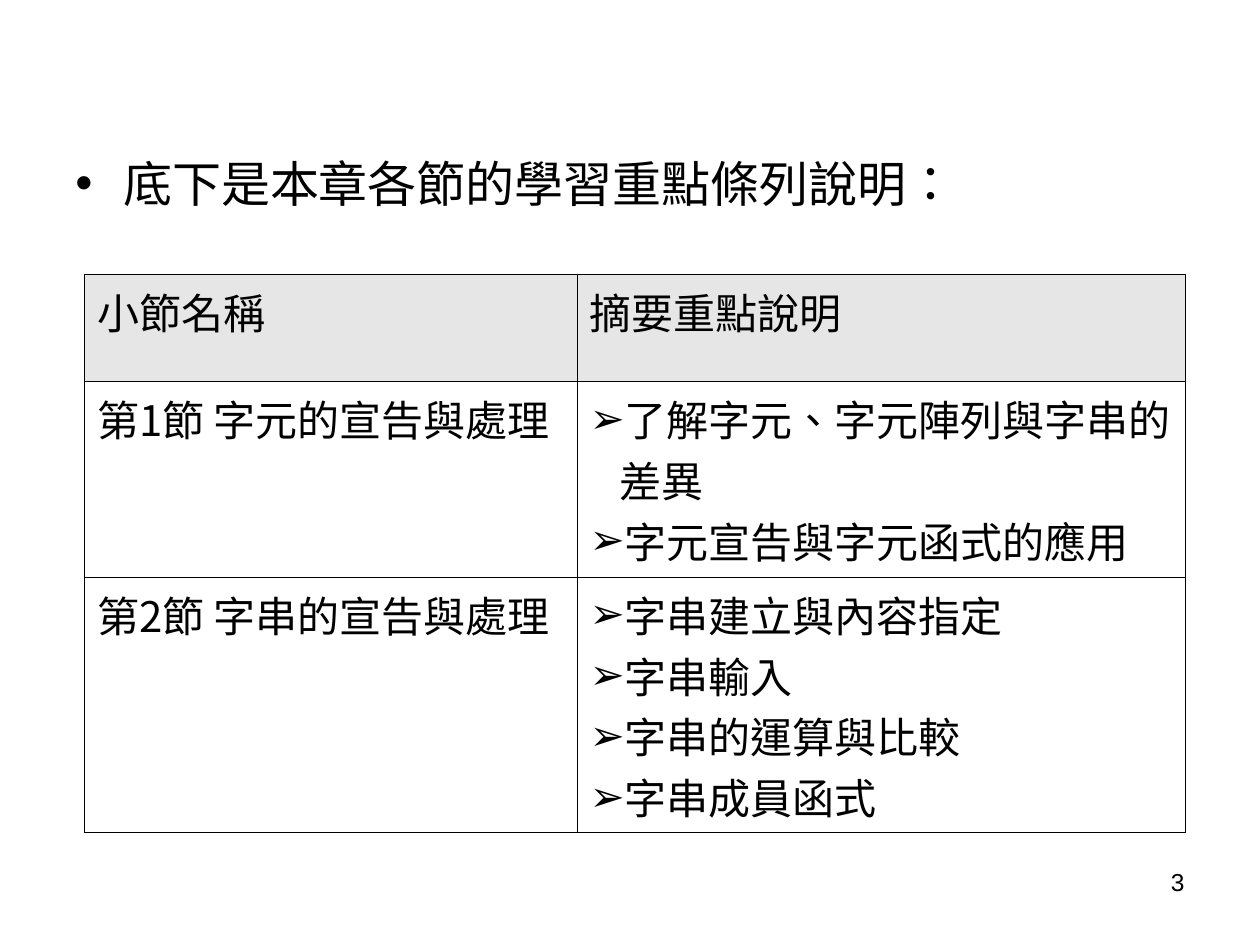
"""Build the chapter overview slide with its table of sections and key points."""
import pptx
import pptx.dml.color
import pptx.enum.lang
import pptx.enum.text
import pptx.oxml
import pptx.util

INTRO = "底下是本章各節的學習重點條列說明："
PAGE = "3"
HEADER = ("小節名稱", "摘要重點說明")
SECTIONS = [
    ("第1節 字元的宣告與處理",
     ["了解字元、字元陣列與字串的差異", "字元宣告與字元函式的應用"]),
    ("第2節 字串的宣告與處理",
     ["字串建立與內容指定", "字串輸入", "字串的運算與比較", "字串成員函式"]),
]
W, H = 10, 7.5
COLS = (3.91, 4.83)
ROWS = (0.85, 1.55, 2.03)
BLACK, GREY = "000000", "E6E6E6"
CJK, LATIN = "Noto Sans CJK SC", "Arial"
NS = 'xmlns:a="http://schemas.openxmlformats.org/drawingml/2006/main"'

inch = pptx.util.Inches


def rgb(value):
    """Turn a hex string into a colour."""
    return pptx.dml.color.RGBColor.from_string(value)


def add_xml(parent, xml):
    """Append one drawing element, given without its namespace."""
    head, sep, rest = xml.partition(" ")
    parent.append(pptx.oxml.parse_xml(f"{head} {NS}{sep}{rest}"))


def add_bullet(p, char, hang):
    """Give a paragraph a black bullet and a hanging indent."""
    pPr = p._p.get_or_add_pPr()
    pPr.set("marL", str(inch(hang)))
    pPr.set("indent", str(-inch(hang)))
    add_xml(pPr, f'<a:buClr ><a:srgbClr val="{BLACK}"/></a:buClr>')
    add_xml(pPr, f'<a:buFont typeface="{LATIN}"/>')
    add_xml(pPr, f'<a:buChar char="{char}"/>')


def add_run(p, text, size, font):
    """Add a black run of Traditional Chinese text."""
    r = p.add_run()
    r.text = text
    r.font.size = pptx.util.Pt(size)
    r.font.name = font
    r.font.color.rgb = rgb(BLACK)
    r.font.language_id = pptx.enum.lang.MSO_LANGUAGE_ID.TRADITIONAL_CHINESE
    add_xml(r._r.get_or_add_rPr(), f'<a:ea typeface="{CJK}"/>')


def add_text(slide, box, text, size):
    """Add a wrapped one-paragraph text box and return the paragraph."""
    tf = slide.shapes.add_textbox(*map(inch, box)).text_frame
    tf.word_wrap = True
    p = tf.paragraphs[0]
    add_run(p, text, size, LATIN)
    return p


def fill_cell(cell, lines, fill=None, bullet=None):
    """Write lines into a bordered cell."""
    for side in "LRTB":
        add_xml(cell._tc.get_or_add_tcPr(),
                f'<a:ln{side} w="{pptx.util.Pt(0.45)}"><a:solidFill>'
                f'<a:srgbClr val="{BLACK}"/></a:solidFill></a:ln{side}>')
    if fill:
        cell.fill.solid()
        cell.fill.fore_color.rgb = rgb(fill)
    else:
        cell.fill.background()
    tf = cell.text_frame
    for i, line in enumerate(lines):
        p = tf.add_paragraph() if i else tf.paragraphs[0]
        if bullet:
            add_bullet(p, bullet, 0.24)
        add_run(p, line, 24, CJK)


def add_sections(slide):
    """Add the table of sections."""
    box = (0.67, 2.18, sum(COLS), sum(ROWS))
    table = slide.shapes.add_table(len(ROWS), len(COLS), *map(inch, box)).table
    table.first_row = table.horz_banding = False
    for col, width in zip(table.columns, COLS):
        col.width = inch(width)
    for row, height in zip(table.rows, ROWS):
        row.height = inch(height)
    for c, title in enumerate(HEADER):
        fill_cell(table.cell(0, c), [title], fill=GREY)
    for r, (name, points) in enumerate(SECTIONS, 1):
        fill_cell(table.cell(r, 0), [name])
        fill_cell(table.cell(r, 1), points, bullet="➢")


def main():
    """Build and save the slide."""
    prs = pptx.Presentation()
    prs.slide_width, prs.slide_height = inch(W), inch(H)
    slide = prs.slides.add_slide(prs.slide_layouts[6])
    p = add_text(slide, (0.5, 1.17, 8.67, 5.5), INTRO, 28)
    add_bullet(p, "•", 0.38)
    add_sections(slide)
    p = add_text(slide, (7.17, 6.83, 2.33, 0.52), PAGE, 14)
    p.alignment = pptx.enum.text.PP_ALIGN.RIGHT
    prs.save("out.pptx")


if __name__ == "__main__":
    main()
